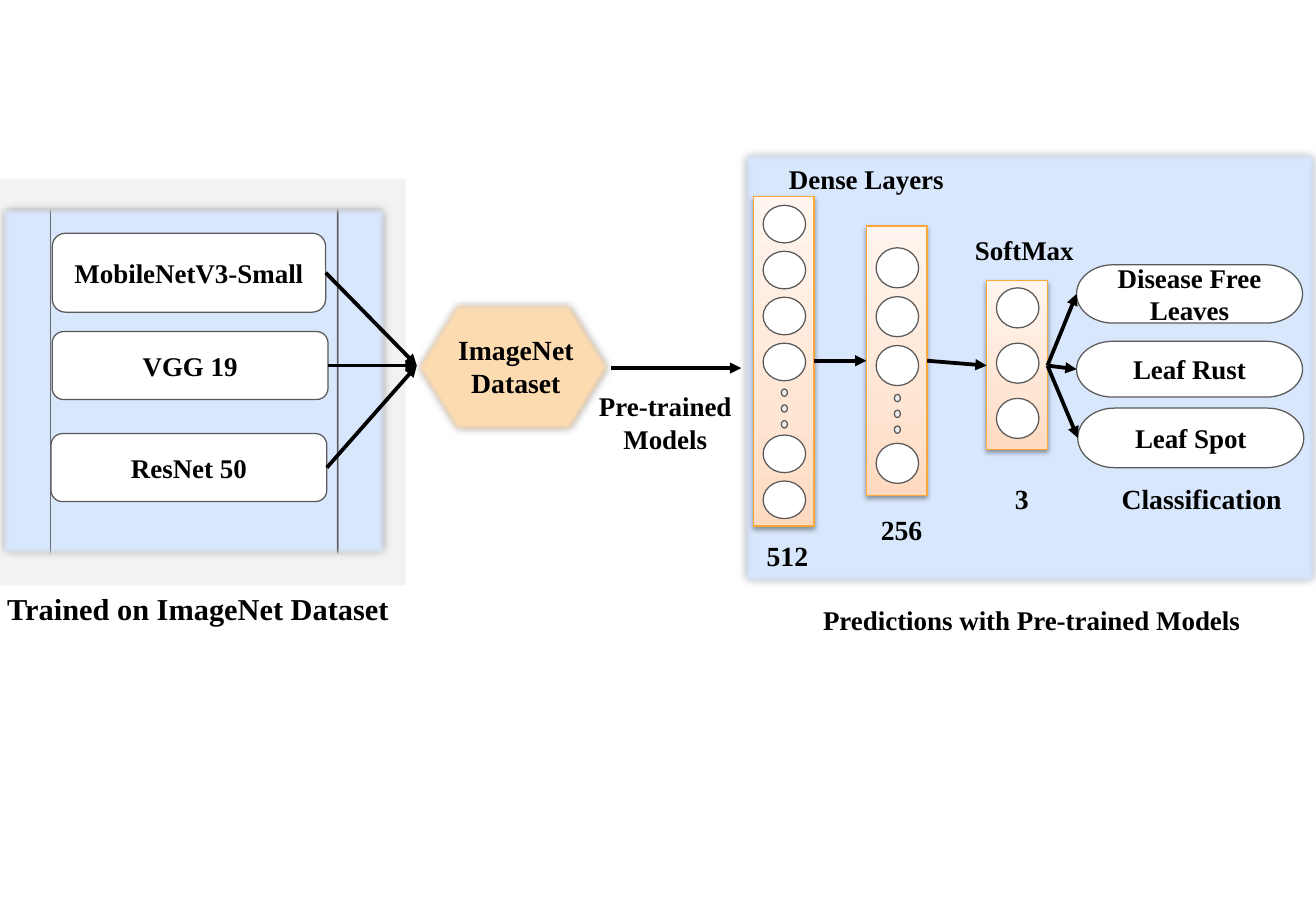
from copy import deepcopy

from lxml import etree
from pptx import Presentation
from pptx.dml.color import RGBColor
from pptx.enum.shapes import MSO_CONNECTOR, MSO_SHAPE
from pptx.enum.text import MSO_ANCHOR, PP_ALIGN
from pptx.oxml.ns import qn
from pptx.util import Inches, Pt

RECTANGLE = MSO_SHAPE.RECTANGLE
ROUNDED = MSO_SHAPE.ROUNDED_RECTANGLE
PROCESS = MSO_SHAPE.FLOWCHART_PREDEFINED_PROCESS
HEXAGON = MSO_SHAPE.FLOWCHART_PREPARATION
TERMINATOR = MSO_SHAPE.FLOWCHART_TERMINATOR
ELLIPSE = MSO_SHAPE.OVAL
DOT = MSO_SHAPE.FLOWCHART_CONNECTOR
STRAIGHT = MSO_CONNECTOR.STRAIGHT
MIDDLE, TOP = MSO_ANCHOR.MIDDLE, MSO_ANCHOR.TOP
CENTER = PP_ALIGN.CENTER


def color(value):
    """Turn a hex string into a colour."""
    return RGBColor.from_string(value)


def write(shape, text, size=16, anchor=TOP):
    """Fill a shape with centred bold text, one paragraph per line."""
    frame = shape.text_frame
    frame.word_wrap = True
    frame.vertical_anchor = anchor
    frame.margin_left = frame.margin_right = Inches(0.1)
    frame.margin_top = frame.margin_bottom = Inches(0.1)
    for index, line in enumerate(text.split("\n")):
        paragraph = frame.add_paragraph() if index else frame.paragraphs[0]
        paragraph.alignment = CENTER
        run = paragraph.add_run()
        run.text = line
        run.font.name = "Times New Roman"
        run.font.size = Pt(size)
        run.font.bold = True
        run.font.color.rgb = color("000000")


class Diagram:
    """Draw the parts of the network diagram on one slide."""

    blue, gray, orange, white = "D9E7FD", "F2F2F2", "FFDDB3", "FFFFFF"
    outline, layer_outline, black = "595959", "FEA83A", "000000"
    layer_stops = [(0, "FFDAC0"), (0.35, "FFE5D3"), (1, "FFF5EE")]

    def __init__(self, slide):
        """Keep the slide that is drawn on."""
        self.slide = slide

    def shape(self, kind, box, fill=white, line=outline):
        """Add a preset shape with a solid fill and a thin outline."""
        shape = self.slide.shapes.add_shape(kind, *map(Inches, box))
        shape.shadow.inherit = False
        shape.fill.solid()
        shape.fill.fore_color.rgb = color(fill)
        if line:
            shape.line.color.rgb = color(line)
            shape.line.width = Pt(0.75)
        else:
            shape.line.fill.background()
        return shape

    def shadow(self, shape, opacity, blur, distance=0, angle=0, soft_edge=0):
        """Give a shape an outer shadow and an optional soft edge."""
        effects = shape._element.spPr.find(qn("a:effectLst"))
        outer = etree.SubElement(
            effects, qn("a:outerShdw"), blurRad=str(Pt(blur)), dist=str(Pt(distance)),
            dir=str(angle * 60000), algn="ctr", rotWithShape="0")
        tint = etree.SubElement(outer, qn("a:srgbClr"), val=self.black)
        etree.SubElement(tint, qn("a:alpha"), val=str(opacity * 1000))
        if soft_edge:
            etree.SubElement(effects, qn("a:softEdge"), rad=str(Pt(soft_edge)))

    def panel(self, kind, box, fill, line=outline):
        """Add a shape with a blurred edge."""
        self.shadow(self.shape(kind, box, fill, line), 40, 5, soft_edge=2.5)

    def node(self, kind, box, text):
        """Add a white labelled shape."""
        write(self.shape(kind, box), text, anchor=MIDDLE)

    def label(self, box, text, size=16):
        """Add a text box."""
        write(self.slide.shapes.add_textbox(*map(Inches, box)), text, size)

    def arrow(self, start, end):
        """Add a thick arrow between two points."""
        arrow = self.slide.shapes.add_connector(STRAIGHT, *map(Inches, start + end))
        arrow.line.color.rgb = color(self.black)
        arrow.line.width = Pt(2.25)
        properties = arrow._element.spPr
        etree.SubElement(properties.find(qn("a:ln")), qn("a:tailEnd"), type="triangle")
        etree.SubElement(properties, qn("a:effectLst"))

    def layer_box(self, box):
        """Add the shaded box behind a layer of neurons."""
        shape = self.shape(RECTANGLE, box, line=self.layer_outline)
        shape.fill.gradient()
        shape.fill.gradient_angle = 90
        stop_list = shape._element.spPr.find(qn("a:gradFill")).find(qn("a:gsLst"))
        stop_list.append(deepcopy(stop_list[-1]))
        for stop, (position, value) in zip(shape.fill.gradient_stops, self.layer_stops):
            stop.position = position
            stop.color.rgb = color(value)
        self.shadow(shape, 38, 3.1, 1.6, 90)

    def layer(self, box, first, last, slots, diameter, dotted_slot=None):
        """Add a layer of evenly spaced neurons, one slot shown as dots."""
        self.layer_box(box)
        left = box[0]
        step = (last - first) / (slots - 1)
        for slot in range(slots):
            top = first + slot * step
            if slot == dotted_slot:
                for dot in range(3):
                    self.shape(DOT, (left + 0.23, top + 0.13 * dot, 0.05, 0.06), "EEEEEE")
            else:
                self.shape(ELLIPSE, (left + 0.08, top, 0.35, diameter))


def main():
    """Build the slide and save it."""
    presentation = Presentation()
    presentation.slide_width = Inches(10.83)
    presentation.slide_height = Inches(7.5)
    diagram = Diagram(presentation.slides.add_slide(presentation.slide_layouts[6]))

    diagram.panel(RECTANGLE, (6.1, 1.24, 4.75, 3.58), diagram.blue, None)
    diagram.shape(RECTANGLE, (-0.19, 1.47, 3.53, 3.35), diagram.gray, None)
    diagram.panel(PROCESS, (0.02, 1.71, 3.15, 2.85), diagram.blue)
    diagram.panel(HEXAGON, (3.41, 2.5, 1.63, 1.05), diagram.orange)

    models = [
        ((0.43, 1.92, 2.25, 0.65), "MobileNetV3-Small"),
        ((0.43, 2.73, 2.27, 0.56), "VGG 19"),
        ((0.42, 3.57, 2.27, 0.56), "ResNet 50"),
    ]
    classes = [
        ((8.86, 2.18, 1.86, 0.48), "Disease Free Leaves"),
        ((8.86, 2.81, 1.86, 0.46), "Leaf Rust"),
        ((8.87, 3.36, 1.86, 0.49), "Leaf Spot"),
    ]

    diagram.layer((6.2, 1.62, 0.5, 2.71), 1.69, 3.96, 7, 0.31, dotted_slot=4)
    diagram.layer((7.13, 1.86, 0.5, 2.22), 2.04, 3.65, 5, 0.33, dotted_slot=3)
    diagram.layer((8.12, 2.31, 0.5, 1.39), 2.37, 3.28, 3, 0.33)

    for box, name in models:
        diagram.node(ROUNDED, box, name)
        left, top, width, height = box
        diagram.arrow((left + width, top + height / 2), (3.43, 3.01))
    for box, name in classes:
        diagram.node(TERMINATOR, box, name)
        left, top, width, height = box
        diagram.arrow((8.62, 3.01), (left, top + height / 2))

    diagram.arrow((5.03, 3.03), (6.1, 3.03))
    diagram.arrow((6.7, 2.97), (7.13, 2.97))
    diagram.arrow((7.63, 2.97), (8.12, 3.01))

    diagram.label((3.67, 2.64, 1.15, 0.75), "ImageNet\nDataset", 16.4)
    diagram.label((4.68, 3.11, 1.59, 0.61), "Pre-trained\nModels")
    diagram.label((6.13, 1.24, 2, 0.34), "Dense Layers")
    diagram.label((7.68, 1.82, 1.5, 0.29), "SoftMax")
    diagram.label((6.16, 4.34, 0.64, 0.33), "512", 16.4)
    diagram.label((7.1, 4.12, 0.64, 0.58), "256", 16.4)
    diagram.label((8.09, 3.87, 0.64, 0.26), "3", 16.4)
    diagram.label((8.96, 3.87, 1.86, 0.33), "Classification", 16.4)
    diagram.label((-0.09, 4.76, 3.44, 0.54), "Trained on ImageNet Dataset", 18)
    diagram.label((6.63, 4.87, 3.72, 0.71), "Predictions with Pre-trained Models")

    presentation.save("out.pptx")


if __name__ == "__main__":
    main()
